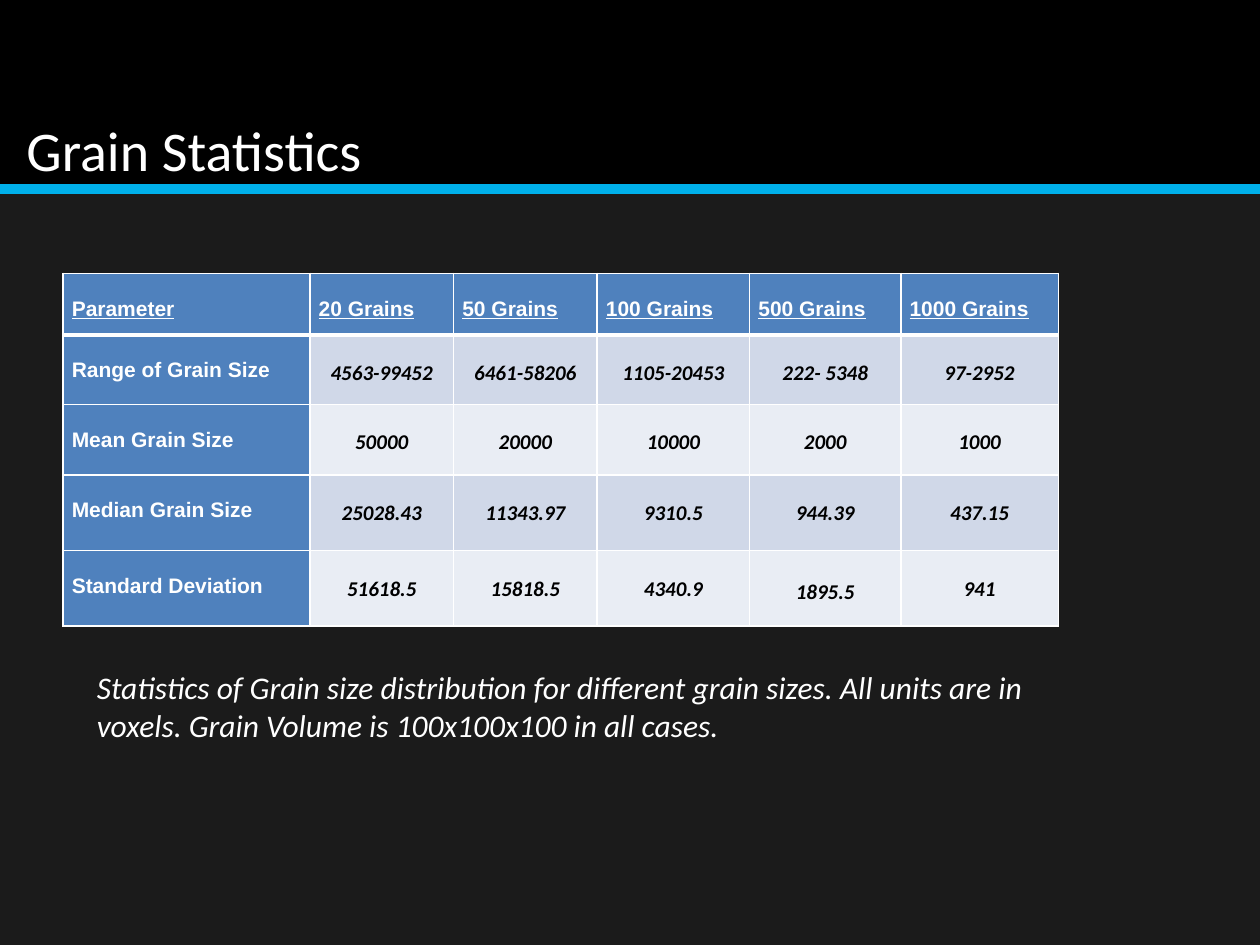
"""Build the grain statistics slide with its table and caption."""
from dataclasses import dataclass

from lxml.etree import SubElement
from pptx import Presentation
from pptx.dml.color import RGBColor
from pptx.enum.shapes import MSO_CONNECTOR as Connector
from pptx.enum.shapes import MSO_SHAPE as Preset
from pptx.enum.text import MSO_ANCHOR as Anchor
from pptx.enum.text import MSO_AUTO_SIZE as AutoSize
from pptx.enum.text import PP_ALIGN as Align
from pptx.oxml.ns import qn
from pptx.slide import Slide
from pptx.table import _Cell as Cell
from pptx.text.text import _Paragraph as Paragraph
from pptx.util import Inches, Pt

BLACK = RGBColor(0x00, 0x00, 0x00)
WHITE = RGBColor(0xFF, 0xFF, 0xFF)
CHARCOAL = RGBColor(0x1B, 0x1B, 0x1B)
CYAN = RGBColor(0x00, 0xB0, 0xEA)
BLUE = RGBColor(0x4F, 0x81, 0xBD)
BANDS = (RGBColor(0xD0, 0xD8, 0xE8), RGBColor(0xE9, 0xED, 0xF4))

HEADINGS = ("Parameter", "20 Grains", "50 Grains", "100 Grains", "500 Grains", "1000 Grains")
COLUMN_WIDTHS = (1.96, 1.14, 1.14, 1.21, 1.2, 1.25)
ROW_HEIGHTS = (0.49, 0.55, 0.56, 0.6, 0.6)
LOWERED_VALUE = "1895.5"


@dataclass(frozen=True)
class Statistic:
    label: str
    values: tuple[str, ...]


@dataclass(frozen=True)
class CellStyle:
    font: str
    color: RGBColor
    align: Align
    italic: bool = False
    underline: bool = False


STATISTICS = (
    Statistic("Range of Grain Size", ("4563-99452", "6461-58206", "1105-20453", "222- 5348", "97-2952")),
    Statistic("Mean Grain Size", ("50000", "20000", "10000", "2000", "1000")),
    Statistic("Median Grain Size", ("25028.43", "11343.97", "9310.5", "944.39", "437.15")),
    Statistic("Standard Deviation", ("51618.5", "15818.5", "4340.9", LOWERED_VALUE, "941")),
)
HEADING_STYLE = CellStyle("Arial", WHITE, Align.JUSTIFY, underline=True)
LABEL_STYLE = CellStyle("Arial", WHITE, Align.JUSTIFY)
VALUE_STYLE = CellStyle("Calibri", BLACK, Align.CENTER, italic=True)


def set_font(para: Paragraph, name: str, size: float, color: RGBColor) -> None:
    para.font.name = name
    para.font.size = Pt(size)
    para.font.color.rgb = color


def add_title(page: Slide, text: str) -> None:
    title = page.shapes.title
    title.left, title.top = Inches(0.21), Inches(0.92)
    title.width, title.height = Inches(9.57), Inches(0.52)
    frame = title.text_frame
    frame.text = text
    frame.auto_size = AutoSize.NONE
    frame.vertical_anchor = Anchor.MIDDLE
    frame.margin_left = frame.margin_right = frame.margin_top = frame.margin_bottom = 0
    para = frame.paragraphs[0]
    para.alignment = Align.LEFT
    set_font(para, "Calibri", 32, WHITE)


def add_header_band(page: Slide) -> None:
    band = page.shapes.add_shape(Preset.RECTANGLE, 0, 0, Inches(10), Inches(1.5))
    band.shadow.inherit = False
    band.fill.solid()
    band.fill.fore_color.rgb = BLACK
    band.line.fill.background()
    rule = page.shapes.add_connector(Connector.STRAIGHT, 0, Inches(1.5), Inches(10), Inches(1.5))
    rule.line.color.rgb = CYAN
    rule.line.width = Pt(6)
    SubElement(rule.element.spPr, qn("a:effectLst"))
    for shape in (band, rule):
        page.shapes.title.element.addprevious(shape.element)


def add_border(cell: Cell, side: str, width: float) -> None:
    properties = cell._tc.get_or_add_tcPr()
    line = SubElement(properties, qn(f"a:ln{side}"), w=str(Pt(width)))
    fill = SubElement(line, qn("a:solidFill"))
    SubElement(fill, qn("a:srgbClr"), val=str(WHITE))


def fill_cell(cell: Cell, text: str, style: CellStyle, fill: RGBColor, row: int) -> None:
    for side in "LRTB":
        heading_edge = (row, side) in ((0, "B"), (1, "T"))
        add_border(cell, side, 3 if heading_edge else 1)
    cell.fill.solid()
    cell.fill.fore_color.rgb = fill
    cell.margin_left = cell.margin_right = Inches(0.07)
    cell.margin_top = Inches(0.03) if text == LOWERED_VALUE else 0
    cell.margin_bottom = 0
    cell.text = text
    para = cell.text_frame.paragraphs[0]
    para.alignment = style.align
    para.line_spacing = 2.0
    para.space_after = Pt(10)
    set_font(para, style.font, 12, style.color)
    para.font.bold = True
    para.font.italic = style.italic
    para.font.underline = style.underline


def add_statistics_table(page: Slide) -> None:
    table = page.shapes.add_table(
        len(ROW_HEIGHTS), len(COLUMN_WIDTHS), Inches(0.5), Inches(2.17),
        Inches(sum(COLUMN_WIDTHS)), Inches(sum(ROW_HEIGHTS)),
    ).table
    for column, width in zip(table.columns, COLUMN_WIDTHS):
        column.width = Inches(width)
    for table_row, height in zip(table.rows, ROW_HEIGHTS):
        table_row.height = Inches(height)
    for index, heading in enumerate(HEADINGS):
        fill_cell(table.cell(0, index), heading, HEADING_STYLE, BLUE, 0)
    for row, statistic in enumerate(STATISTICS, start=1):
        fill_cell(table.cell(row, 0), statistic.label, LABEL_STYLE, BLUE, row)
        for index, value in enumerate(statistic.values, start=1):
            fill_cell(table.cell(row, index), value, VALUE_STYLE, BANDS[(row - 1) % 2], row)


def add_caption(page: Slide, text: str) -> None:
    box = page.shapes.add_textbox(Inches(0.67), Inches(5.25), Inches(7.92), Inches(0.71))
    frame = box.text_frame
    frame.word_wrap = True
    frame.auto_size = AutoSize.SHAPE_TO_FIT_TEXT
    frame.text = text
    para = frame.paragraphs[0]
    set_font(para, "Calibri", 18, WHITE)
    para.font.italic = True


def main() -> None:
    deck = Presentation()
    deck.slide_width, deck.slide_height = Inches(10), Inches(7.5)
    page = deck.slides.add_slide(deck.slide_layouts.get_by_name("Title Only"))
    page.background.fill.solid()
    page.background.fill.fore_color.rgb = CHARCOAL
    add_header_band(page)
    add_title(page, "Grain Statistics")
    add_statistics_table(page)
    add_caption(
        page,
        "Statistics of Grain size distribution for different grain sizes. "
        "All units are in voxels. Grain Volume is 100x100x100 in all cases.",
    )
    deck.save("out.pptx")


if __name__ == "__main__":
    main()
